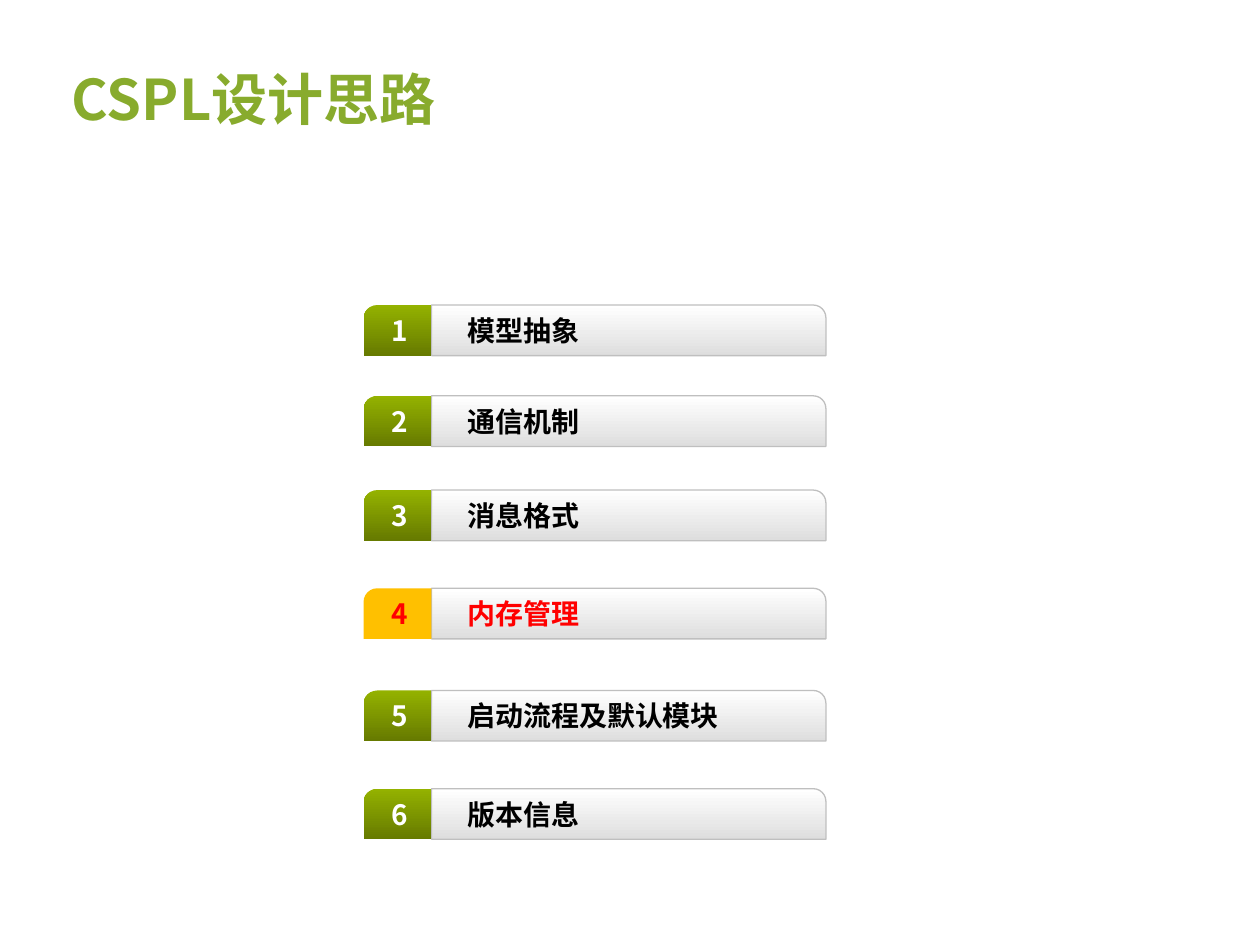
from lxml import etree
from pptx import Presentation, util as u
from pptx.dml.color import RGBColor
from pptx.enum import shapes, text
from pptx.oxml.ns import qn

FONT = "Noto Sans CJK SC"
COLORS = {
    "title": "88AB2D", "label": "000000", "number": "FFFFFF",
    "active_text": "FF0000", "active_fill": "FFC000", "border": "BFBFBF",
    "bar_top": "FFFFFF", "bar_bottom": "DEDEDE",
    "badge_top": "94B200", "badge_bottom": "667A00",
}
LEFT, BADGE_W, BAR_W, ROW_H = 7.33, 1.37, 7.95, 1.02
ACTIVE = 4
# Label and top edge in cm; the rows are not evenly spaced
rows = [("模型抽象", 6.15), ("通信机制", 7.98), ("消息格式", 9.88),
        ("内存管理", 11.86), ("启动流程及默认模块", 13.92), ("版本信息", 15.9)]


def write(sp, words, size, color, align):
    """Put one bold, vertically centred line of text in sp."""
    tf = sp.text_frame
    tf.word_wrap = True
    tf.vertical_anchor = text.MSO_ANCHOR.MIDDLE
    tf.text = words
    p = tf.paragraphs[0]
    p.alignment = align
    r = p.runs[0]
    r.font.size = u.Pt(size)
    r.font.bold = True
    r.font.name = FONT
    r.font.color.rgb = RGBColor.from_string(COLORS[color])
    ea = etree.SubElement(r.font._element, qn("a:ea"))
    ea.set("typeface", FONT)


def add_tab(left, top, width, corner, fills):
    """Add a box with one rounded corner, filled plain or from top to bottom."""
    sp = s.shapes.add_shape(shapes.MSO_SHAPE.ROUND_1_RECTANGLE, u.Cm(left),
                            u.Cm(top), u.Cm(width), u.Cm(ROW_H))
    sp.adjustments[0] = corner
    sp.shadow.inherit = False
    sp.line.fill.background()
    if len(fills) == 1:
        sp.fill.solid()
        sp.fill.fore_color.rgb = RGBColor.from_string(COLORS[fills[0]])
    else:
        sp.fill.gradient()
        sp.fill.gradient_angle = 270
        for stop, name in zip(sp.fill.gradient_stops, fills):
            stop.color.rgb = RGBColor.from_string(COLORS[name])
    return sp


prs = Presentation()
prs.slide_width, prs.slide_height = u.Cm(25.4), u.Cm(19.05)
s = prs.slides.add_slide(prs.slide_layouts[6])

title = s.shapes.add_textbox(u.Cm(1.2), u.Cm(1.2), u.Cm(16.45), u.Cm(1.57))
write(title, "CSPL设计思路", 32, "title", text.PP_ALIGN.LEFT)

for number, (label, top) in enumerate(rows, 1):
    active = number == ACTIVE

    bar = add_tab(LEFT + BADGE_W, top, BAR_W, 0.25, ["bar_top", "bar_bottom"])
    bar.line.color.rgb = RGBColor.from_string(COLORS["border"])
    bar.line.width = u.Pt(0.75)
    write(bar, label, 16, "active_text" if active else "label",
          text.PP_ALIGN.LEFT)
    pPr = bar.text_frame.paragraphs[0]._p.get_or_add_pPr()
    pPr.set("marL", str(u.Cm(0.48)))

    badge_fills = ["active_fill"] if active else ["badge_top", "badge_bottom"]
    badge = add_tab(LEFT, top, BADGE_W, 0.27, badge_fills)
    badge._element.spPr.find(qn("a:xfrm")).set("flipH", "1")
    write(badge, str(number), 16, "active_text" if active else "number",
          text.PP_ALIGN.CENTER)

prs.save("out.pptx")
